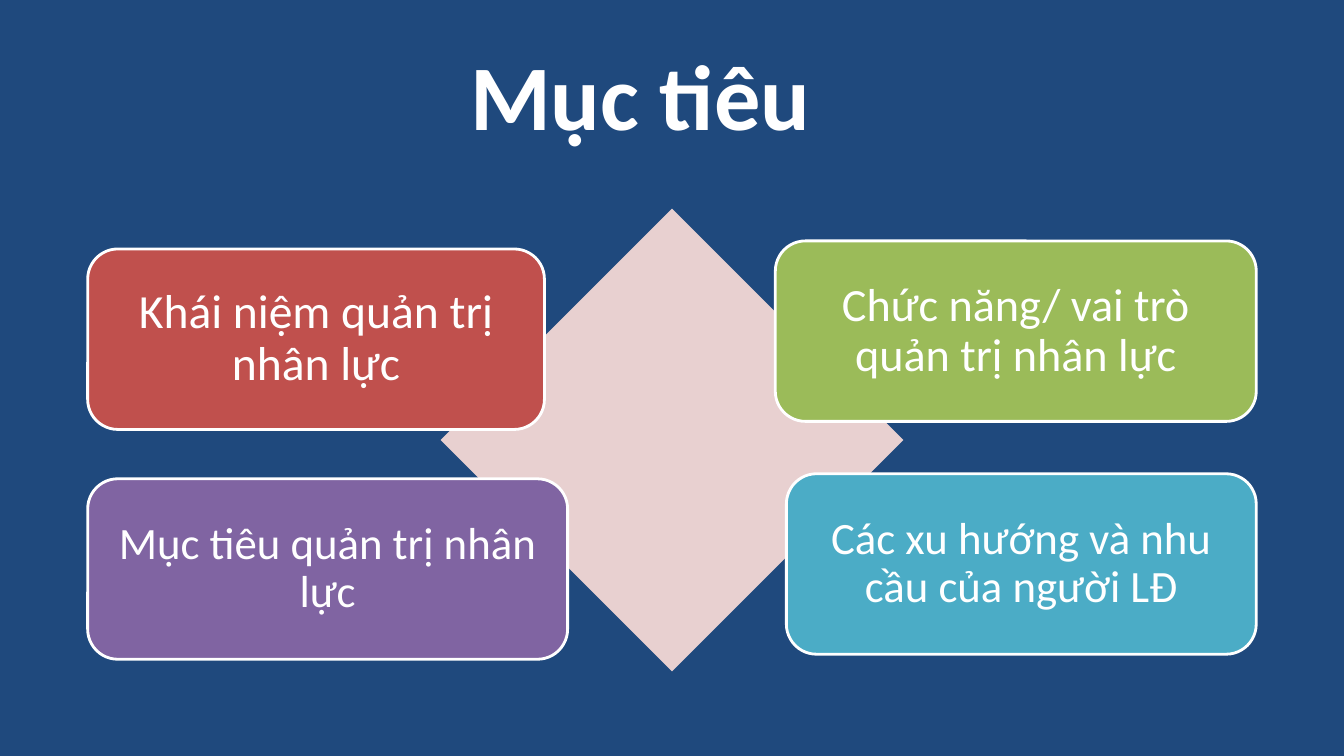
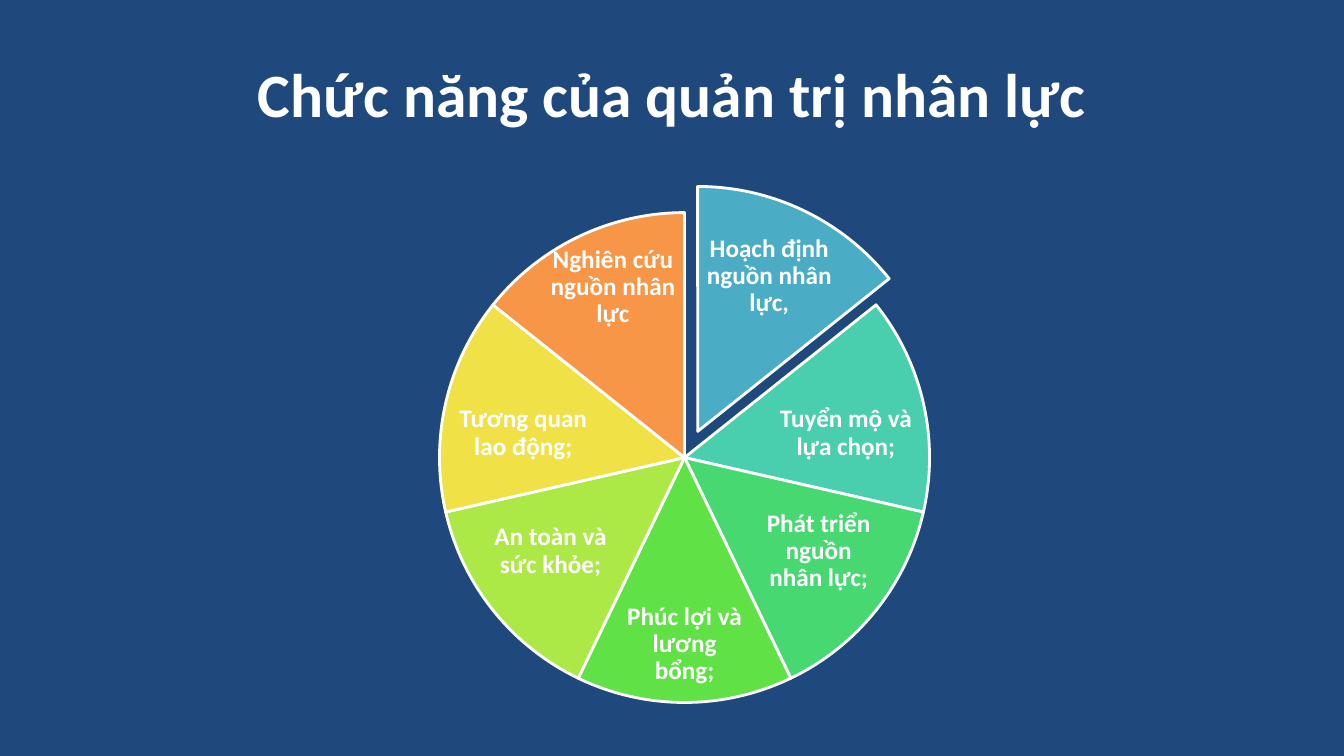
from pptx import Presentation
from pptx.dml.color import RGBColor
from pptx.enum.shapes import MSO_SHAPE
from pptx.enum.text import MSO_ANCHOR, MSO_AUTO_SIZE, PP_ALIGN
from pptx.util import Inches, Pt

FONT = "Calibri"
NAVY, WHITE, PINK = "1F497D", "FFFFFF", "E8D0D0"
RED, GREEN, PURPLE, TEAL = "C0504D", "9BBB59", "8064A2", "4BACC6"


def rgb(value):
    return RGBColor.from_string(value)


def write(shape, text, size, bold=False, spacing=0.9, inset=0.1):
    """Centre white text in a shape."""
    tf = shape.text_frame
    frame = {"word_wrap": True, "auto_size": MSO_AUTO_SIZE.NONE,
             "vertical_anchor": MSO_ANCHOR.MIDDLE}
    for side in ("left", "right", "top", "bottom"):
        frame["margin_" + side] = Inches(inset)
    for name, value in frame.items():
        setattr(tf, name, value)
    p = tf.paragraphs[0]
    p.alignment, p.line_spacing = PP_ALIGN.CENTER, spacing
    r = p.add_run()
    r.text = text
    for name, value in {"name": FONT, "size": Pt(size), "bold": bold}.items():
        setattr(r.font, name, value)
    r.font.color.rgb = rgb(WHITE)


def add_shape(s, kind, box, fill, outlined=True):
    sp = s.shapes.add_shape(kind, *map(Inches, box))
    sp.shadow.inherit = False
    sp.fill.solid()
    sp.fill.fore_color.rgb = rgb(fill)
    if outlined:
        sp.line.color.rgb = rgb(WHITE)
        sp.line.width = Pt(2)
    else:
        sp.line.fill.background()
    return sp


def titled_slide(prs, title, size, shift=0):
    """Add a title-only slide; shift moves the title text to the left."""
    s = prs.slides.add_slide(prs.slide_layouts[5])
    sp = s.shapes.title
    sp.left, sp.top, sp.width, sp.height = map(Inches, (0.67, 0.3, 12, 1.25))
    write(sp, title, size, bold=True, spacing=1.0)
    sp.text_frame.margin_right = Inches(0.1 + 2 * shift)
    return s


def goal_matrix(s, left, top, width, side, goals):
    """Four cards over a diamond; the cards keep to the outer edges."""
    diamond_left = left + (width - side) / 2
    add_shape(s, MSO_SHAPE.DIAMOND, (diamond_left, top, side, side), PINK, outlined=False)
    for i, (text, size, fill, dy, card_width) in enumerate(goals):
        x = left + (width - card_width if i % 2 else 0)
        card = add_shape(s, MSO_SHAPE.ROUNDED_RECTANGLE,
                         (x, top + dy, card_width, 1.79), fill)
        write(card, text, size, inset=0.14)


def function_wheel(s, left, top, size, functions):
    """Equal pie slices from twelve o'clock, the first one pulled out."""
    step = 360 / len(functions)
    for i, (text, fill, dx, dy, width, height) in enumerate(functions):
        pull_x, pull_y = (0.13, -0.26) if i == 0 else (0, 0)
        x, y = left + pull_x, top + pull_y
        pie = add_shape(s, MSO_SHAPE.PIE, (x, y, size, size), fill)
        for n in range(2):
            # One adjustment unit is 5/3 of a degree
            pie.adjustments[n] = (270 + (i + n) * step) % 360 * 0.6
        # Label, offset from the centre of its slice's circle
        label = s.shapes.add_textbox(*map(Inches, (
            x + size / 2 + dx - width / 2, y + size / 2 + dy - height / 2, width, height)))
        write(label, text, 18, bold=True, inset=0.03)


def main():
    prs = Presentation()
    prs.slide_width, prs.slide_height = Inches(13.33), Inches(7.5)
    background = prs.slide_master.background.fill
    background.solid()
    background.fore_color.rgb = rgb(NAVY)

    # Goals: text, size, colour, offset from the diamond's top, width
    s = titled_slide(prs, "Mục tiêu", 66, shift=0.32)
    goal_matrix(s, 0.87, 2.07, 11.59, 4.59, [
        ("Khái niệm quản trị nhân lực", 34, RED, 0.4, 4.53),
        ("Chức năng/ vai trò quản trị nhân lực", 33, GREEN, 0.32, 4.77),
        ("Mục tiêu quản trị nhân lực", 32, PURPLE, 2.68, 4.76),
        ("Các xu hướng và nhu cầu của người LĐ", 32, TEAL, 2.63, 4.66),
    ])

    # Functions: text, colour, label offset and label size
    s = titled_slide(prs, "Chức năng của quản trị nhân lực", 44)
    function_wheel(s, 4.36, 2.11, 4.86, [
        ("Hoạch định nguồn nhân lực,", TEAL, 0.71, -1.54, 1.33, 0.84),
        ("Tuyển mộ và lựa chọn;", "49CFAE", 1.6, -0.24, 1.41, 0.9),
        ("Phát triển nguồn nhân lực;", "47D872", 1.33, 0.93, 1.27, 0.93),
        ("Phúc lợi và lương bổng;", "60E146", 0, 1.85, 1.3, 0.93),
        ("An toàn và sức khỏe;", "ACE946", -1.33, 0.93, 1.27, 0.93),
        ("Tương quan lao động;", "F0E146", -1.6, -0.24, 1.41, 0.9),
        ("Nghiên cứu nguồn nhân lực", "F79646", -0.71, -1.69, 1.33, 0.84),
    ])
    prs.save("out.pptx")


if __name__ == "__main__":
    main()
